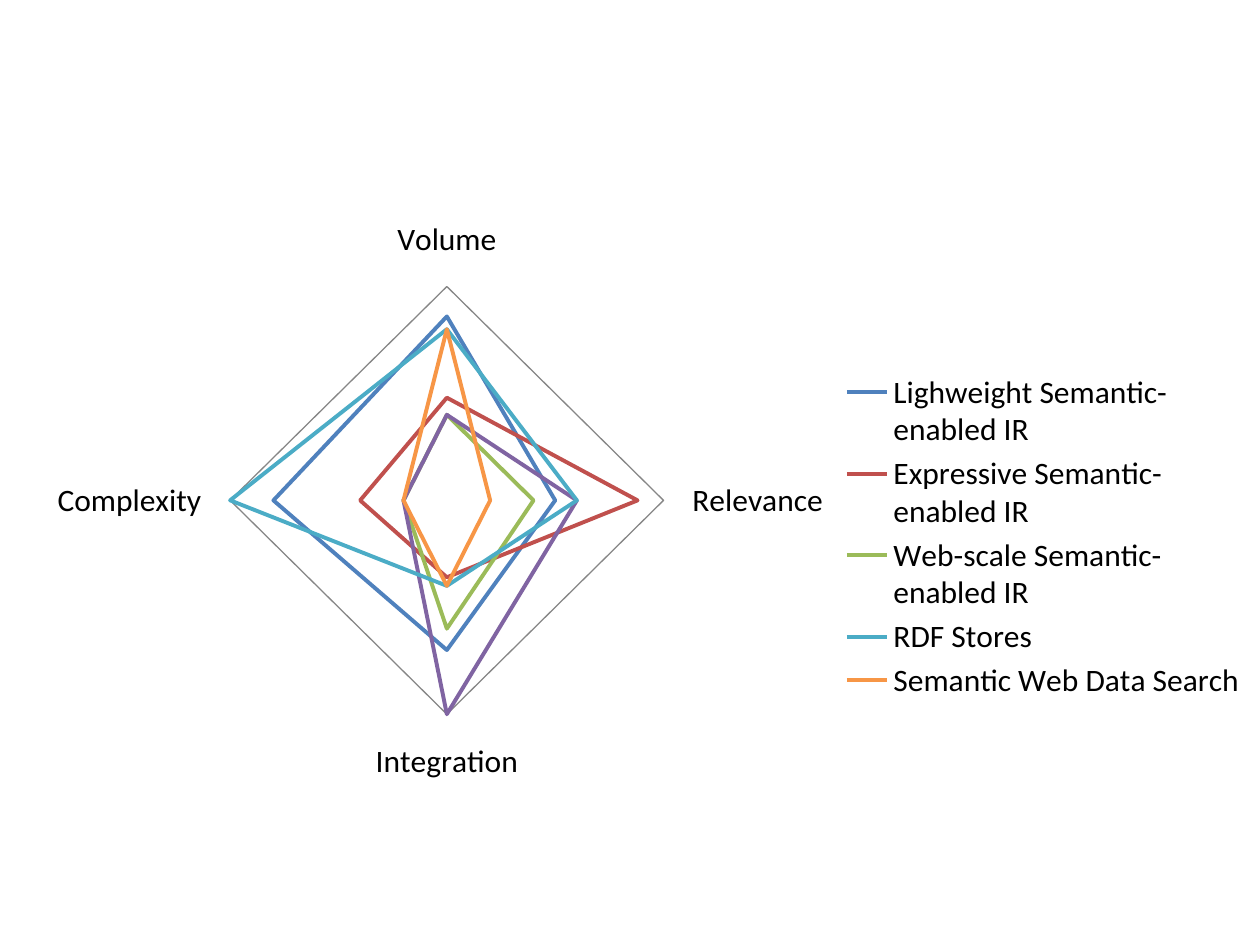
import dataclasses

import pptx
import pptx.chart.data
import pptx.dml.color
import pptx.enum.chart
import pptx.oxml
import pptx.oxml.ns
import pptx.util

SLIDE_WIDTH, SLIDE_HEIGHT = pptx.util.Inches(10), pptx.util.Inches(7.5)
COLORS = {
    "blue": "4F81BD",
    "red": "C0504D",
    "green": "9BBB59",
    "purple": "8064A2",
    "teal": "4BACC6",
    "orange": "F79646",
    "grid": "868686",
    "text": "000000",
}
CATEGORIES = ["Volume", "Relevance", "Integration", "Complexity"]
PLOT_SHARES = {"x": 0.153, "y": 0.094, "w": 0.362, "h": 0.695}


@dataclasses.dataclass
class Approach:
    name: str
    scores: tuple[int, ...]
    color: str
    in_legend: bool = True


APPROACHES = [
    Approach("Lighweight Semantic-enabled IR", (86, 50, 70, 80), "blue"),
    Approach("Expressive Semantic-enabled IR", (48, 88, 36, 40), "red"),
    Approach("Web-scale Semantic-enabled IR ", (40, 40, 60, 20), "green"),
    Approach("Series 4", (40, 60, 100, 20), "purple", in_legend=False),
    Approach("RDF Stores", (80, 60, 40, 100), "teal"),
    Approach("Semantic Web Data Search", (80, 20, 40, 20), "orange"),
]


def set_attributes(target: object, values: dict) -> None:
    for name, value in values.items():
        setattr(target, name, value)


def color_of(name: str) -> pptx.dml.color.RGBColor:
    return pptx.dml.color.RGBColor.from_string(COLORS[name])


def format_line(line, color: str, width: float) -> None:
    line.color.rgb = color_of(color)
    line.width = pptx.util.Pt(width)


def chart_element(xml: str):
    namespace = pptx.oxml.ns.nsdecls("c")
    return pptx.oxml.parse_xml(xml.replace(">", f" {namespace}>", 1))


def place_plot(chart) -> None:
    plot_area = chart.element.find(".//" + pptx.oxml.ns.qn("c:plotArea"))
    for layout in plot_area.findall(pptx.oxml.ns.qn("c:layout")):
        plot_area.remove(layout)
    modes = "".join(f'<c:{side}Mode val="edge"/>' for side in "xy")
    shares = "".join(f'<c:{key} val="{share}"/>' for key, share in PLOT_SHARES.items())
    plot_area.insert(0, chart_element(
        '<c:layout><c:manualLayout><c:layoutTarget val="inner"/>'
        f"{modes}{shares}</c:manualLayout></c:layout>"
    ))


def hide_legend_entries(chart) -> None:
    position = chart.element.find(".//" + pptx.oxml.ns.qn("c:legendPos"))
    for index, approach in enumerate(APPROACHES):
        if not approach.in_legend:
            position.addnext(chart_element(
                f'<c:legendEntry><c:idx val="{index}"/><c:delete val="1"/></c:legendEntry>'
            ))


def add_radar(slide):
    data = pptx.chart.data.CategoryChartData()
    data.categories = CATEGORIES
    for approach in APPROACHES:
        data.add_series(approach.name, approach.scores)
    left, top, width, height = (
        round(SLIDE_WIDTH * 0.031), round(SLIDE_HEIGHT * 0.2333),
        round(SLIDE_WIDTH * 0.969), round(SLIDE_HEIGHT * 0.66),
    )
    chart = slide.shapes.add_chart(
        pptx.enum.chart.XL_CHART_TYPE.RADAR, left, top, width, height, data
    ).chart
    set_attributes(chart, {"has_title": False, "has_legend": True})
    set_attributes(chart.font, {"name": "Calibri", "size": pptx.util.Pt(18)})
    chart.font.color.rgb = color_of("text")
    set_attributes(chart.legend, {
        "position": pptx.enum.chart.XL_LEGEND_POSITION.RIGHT,
        "include_in_layout": False,
    })
    set_attributes(chart.value_axis, {
        "minimum_scale": 0, "maximum_scale": 100, "major_unit": 100,
        "has_major_gridlines": True, "visible": False,
    })
    for axis in (chart.category_axis, chart.value_axis):
        format_line(axis.major_gridlines.format.line, "grid", 0.75)
    chart.plots[0].vary_by_categories = False
    for series, approach in zip(chart.plots[0].series, APPROACHES):
        series.smooth = False
        series.marker.style = pptx.enum.chart.XL_MARKER_STYLE.NONE
        format_line(series.format.line, approach.color, 2.25)
    place_plot(chart)
    hide_legend_entries(chart)


presentation = pptx.Presentation()
set_attributes(presentation, {"slide_width": SLIDE_WIDTH, "slide_height": SLIDE_HEIGHT})
slide = presentation.slides.add_slide(presentation.slide_layouts[6])
add_radar(slide)
presentation.save("out.pptx")
